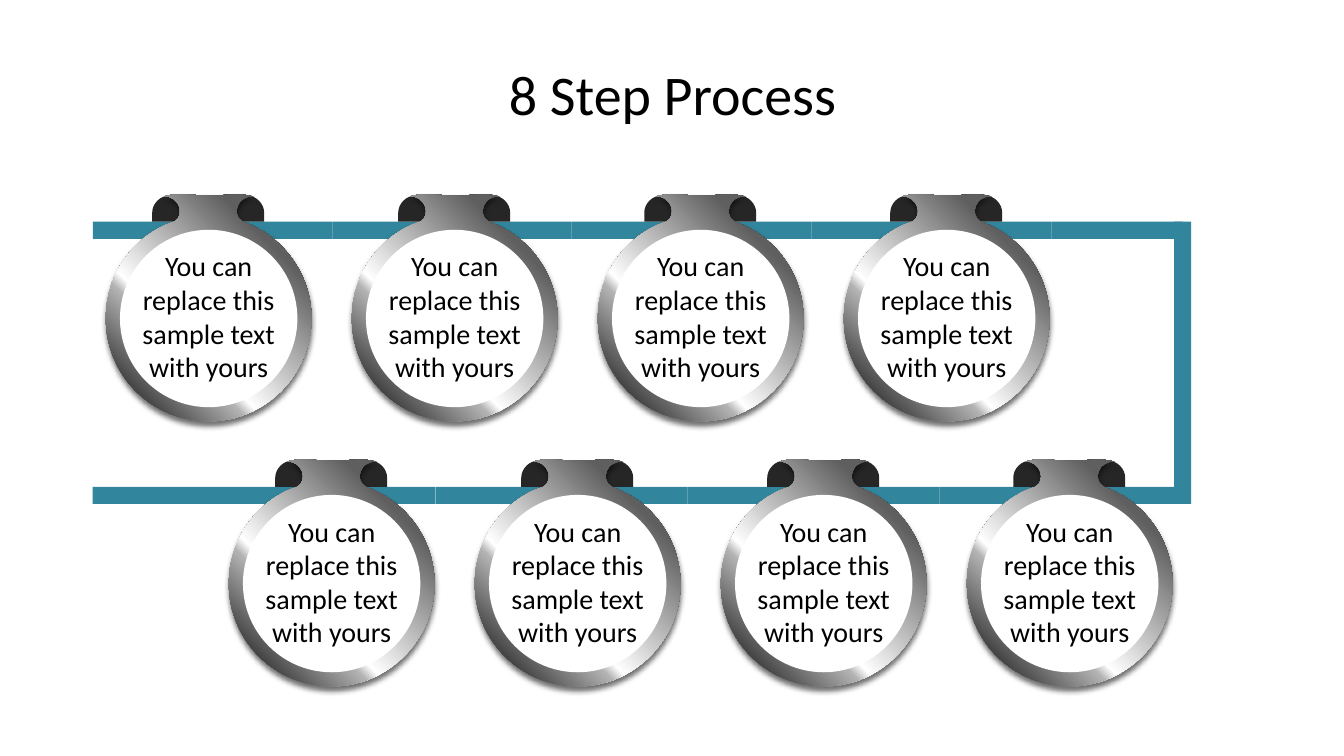
from itertools import pairwise

from lxml import etree
from pptx import Presentation
from pptx.dml.color import RGBColor
from pptx.enum.shapes import MSO_SHAPE
from pptx.enum.text import MSO_ANCHOR, MSO_AUTO_SIZE, PP_ALIGN
from pptx.oxml import parse_xml
from pptx.oxml.ns import nsdecls, qn
from pptx.util import Inches, Pt

RECTANGLE, OVAL = MSO_SHAPE.RECTANGLE, MSO_SHAPE.OVAL
MIDDLE, CENTER = MSO_ANCHOR.MIDDLE, PP_ALIGN.CENTER
GROW = MSO_AUTO_SIZE.SHAPE_TO_FIT_TEXT

TEAL = RGBColor(0x31, 0x85, 0x9C)
CHARCOAL = RGBColor(0x26, 0x26, 0x26)
WHITE = RGBColor(0xFF, 0xFF, 0xFF)
BLACK = RGBColor(0x00, 0x00, 0x00)
METAL_STOPS = [(0, CHARCOAL), (11, RGBColor(0x5F, 0x5F, 0x5F)),
               (21, RGBColor(0x5F, 0x5F, 0x5F)), (63, WHITE),
               (67, RGBColor(0xB2, 0xB2, 0xB2)), (91, RGBColor(0x29, 0x29, 0x29)),
               (98, RGBColor(0x77, 0x77, 0x77)), (100, RGBColor(0xEA, 0xEA, 0xEA))]

FONT = "Calibri"
STEP_TEXT = "You can replace this sample text with yours"
COLUMNS = 4
COLUMN_PITCH, ROW_PITCH = 2.44, 2.63
FIRST_LEFT, FIRST_TOP = 1.05, 1.93
BAR_DROP, BAR_SIZE = 0.27, 0.17
TRACK_JOINTS = [(0.92, 3.3, 5.67, 8.05, 10.43, 11.73),
                (0.92, 4.32, 6.82, 9.32, 11.73)]

CLIP = [((1.57, 0.27),), ((1.57, 0.18),),
        ((1.57, 0.09), (1.49, 0.01), (1.40, 0.01)),
        ((1.30, 0.01), (1.23, 0.09), (1.23, 0.19)),
        ((1.23, 0.22), (1.24, 0.24), (1.25, 0.27))]
CLIP_MIRROR = 2.03
RING = [((1.32, 0),),
        ((1.38, 0), (1.42, 0.01), (1.46, 0.02)),
        ((1.30, 0.01), (1.24, 0.21), (1.36, 0.27)), ((1.41, 0.29),),
        ((1.78, 0.44), (2.04, 0.81), (2.04, 1.23)),
        ((2.04, 1.79), (1.58, 2.25), (1.02, 2.25)),
        ((0.45, 2.25), (0, 1.79), (0, 1.23)),
        ((0, 0.81), (0.25, 0.44), (0.62, 0.29)), ((0.68, 0.27),),
        ((0.79, 0.21), (0.73, 0.01), (0.58, 0.02)),
        ((0.67, -0.02), (0.88, 0.01), (1.02, 0.01)),
        ((1.12, 0.01), (1.23, 0), (1.32, 0))]


def style_plain(shape, color):
    """Give a shape a flat fill with no outline or shadow."""
    shape.fill.solid()
    shape.fill.fore_color.rgb = color
    shape.line.fill.background()
    shape.shadow.inherit = False


def style_metal(shape):
    """Turn a plain shape into brushed metal with a soft shadow below."""
    shape.fill.gradient()
    shape.fill.gradient_angle = 225
    properties = shape.element.spPr
    stops = properties.find(".//" + qn("a:gsLst"))
    for stop in list(stops):
        stops.remove(stop)
    for position, color in METAL_STOPS:
        stop = etree.SubElement(stops, qn("a:gs"), pos=str(position * 1000))
        etree.SubElement(stop, qn("a:srgbClr"), val=str(color))
    properties.find(qn("a:effectLst")).append(parse_xml(
        f'<a:outerShdw {nsdecls("a")} blurRad="{Pt(4)}" dist="{Pt(3)}" dir="5400000" '
        'algn="t" rotWithShape="0"><a:srgbClr val="000000"><a:alpha val="56000"/>'
        '</a:srgbClr></a:outerShdw>'))


def bend(shape, segments):
    """Merge each three-point segment of an outline into one cubic curve."""
    lines = iter(shape.element.spPr.findall(".//" + qn("a:lnTo")))
    for segment in segments[1:]:
        first, *others = [next(lines) for point in segment]
        if others:
            first.tag = qn("a:cubicBezTo")
        for line in others:
            first.append(line[0])
            line.getparent().remove(line)


def add_outline(shapes, left, top, segments, color):
    """Draw a closed outline of lines and curves relative to a corner."""
    points = [(Inches(left + x), Inches(top + y))
              for segment in segments for x, y in segment]
    builder = shapes.build_freeform(*points[0])
    builder.add_line_segments(points[1:], close=True)
    shape = builder.convert_to_shape()
    bend(shape, segments)
    style_plain(shape, color)
    return shape


def add_bar(page, left, top, width, height):
    """Draw one piece of the teal track."""
    bar = page.shapes.add_shape(RECTANGLE, Inches(left), Inches(top),
                                Inches(width), Inches(height))
    style_plain(bar, TEAL)


def add_track(page, top):
    """Draw both rows of the track and the bend that joins them."""
    for row, joints in enumerate(TRACK_JOINTS):
        for start, end in pairwise(joints):
            add_bar(page, start, top + row * ROW_PITCH, end - start, BAR_SIZE)
    add_bar(page, TRACK_JOINTS[0][-1] - BAR_SIZE / 2, top,
            BAR_SIZE, ROW_PITCH + BAR_SIZE)


def add_medallion(page, left, top):
    """Draw one step: two clips, a metal ring, a white face and its text."""
    shapes = page.shapes.add_group_shape().shapes
    mirrored = [[(CLIP_MIRROR - x, y) for x, y in segment] for segment in CLIP]
    for clip in (CLIP, mirrored):
        add_outline(shapes, left, top, clip, CHARCOAL)
    style_metal(add_outline(shapes, left, top, RING, CHARCOAL))
    face = shapes.add_shape(OVAL, Inches(left + 0.14), Inches(top + 0.35),
                            Inches(1.76), Inches(1.76))
    style_plain(face, WHITE)
    label = shapes.add_textbox(Inches(left + 0.05), Inches(top + 0.49),
                               Inches(1.94), Inches(1.45))
    label.text_frame.word_wrap = True
    label.text_frame.auto_size = GROW
    write(label, STEP_TEXT, 20)


def write(box, text, size):
    """Fill a box with one centred paragraph."""
    box.text_frame.text = text
    para = box.text_frame.paragraphs[0]
    para.alignment = CENTER
    para.font.name = FONT
    para.font.size = Pt(size)
    para.font.color.rgb = BLACK


def add_title(page, text):
    """Place the slide title."""
    title = page.shapes.title
    title.left, title.top = Inches(0.67), Inches(0.3)
    title.width, title.height = Inches(12), Inches(1.25)
    title.text_frame.vertical_anchor = MIDDLE
    write(title, text, 40)


def main():
    """Build the deck and save it."""
    deck = Presentation()
    deck.slide_width, deck.slide_height = Inches(13.33), Inches(7.5)
    page = deck.slides.add_slide(deck.slide_layouts[5])
    add_title(page, "8 Step Process")
    add_track(page, FIRST_TOP + BAR_DROP)
    for row in range(len(TRACK_JOINTS)):
        for column in range(COLUMNS):
            add_medallion(page, FIRST_LEFT + (column + row / 2) * COLUMN_PITCH,
                          FIRST_TOP + row * ROW_PITCH)
    deck.save("out.pptx")


if __name__ == "__main__":
    main()
